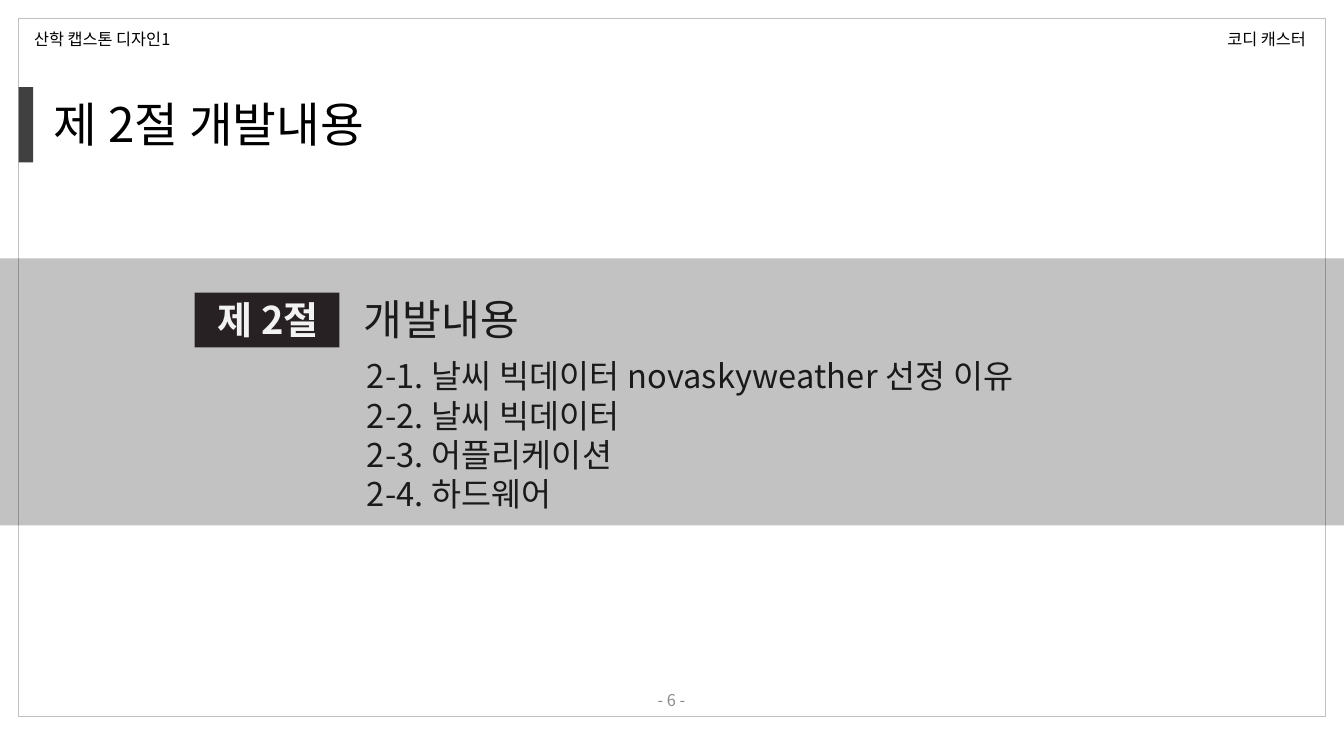
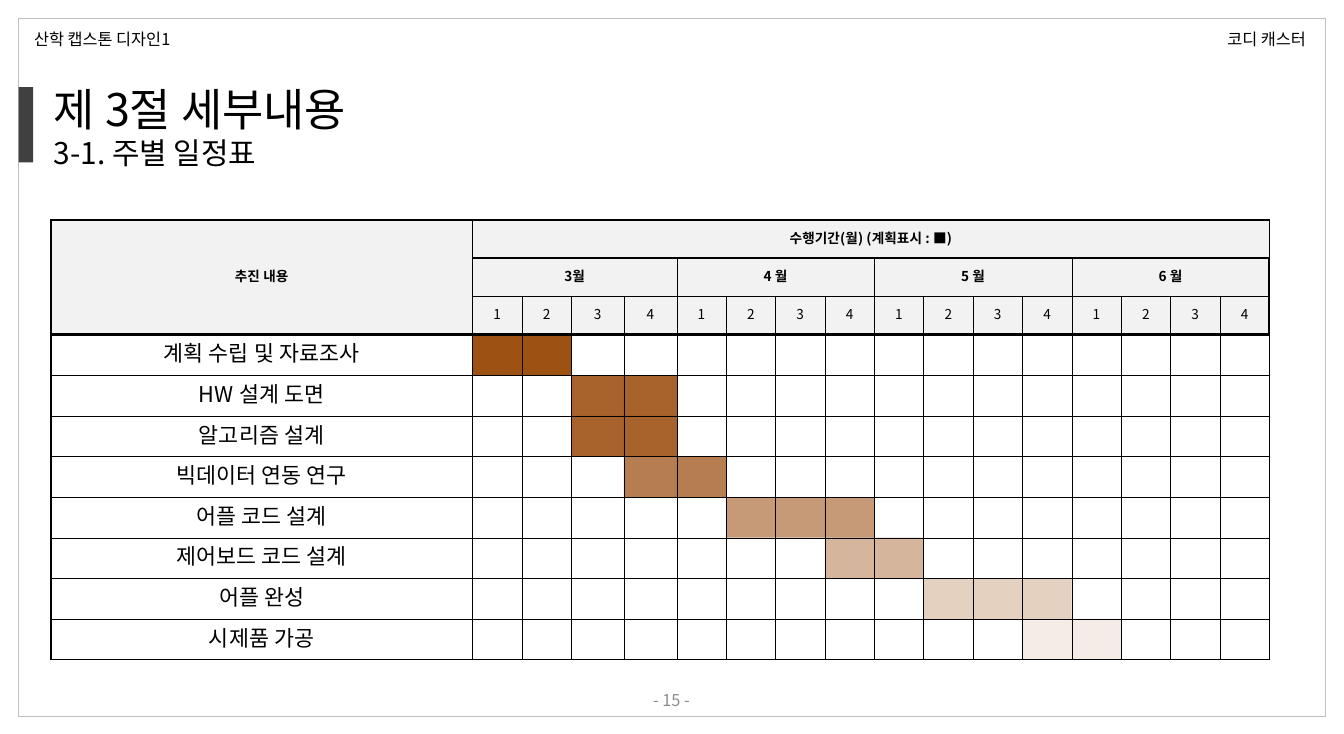
import lxml.etree
import pptx
import pptx.dml.color
import pptx.enum.shapes
import pptx.enum.text
import pptx.oxml.ns
import pptx.util

Inches = pptx.util.Inches
Pt = pptx.util.Pt
ALIGN = pptx.enum.text.PP_ALIGN
ANCHOR = pptx.enum.text.MSO_ANCHOR
qn = pptx.oxml.ns.qn

FONT = "Noto Sans CJK KR"
BLACK, GRAY_FRAME, GRAY_MARKER, GRAY_PAGE = "000000", "BFBFBF", "404040", "8C8C8C"
INK, BADGE, BADGE_TEXT, HEADER, BROWN = "1A1A1A", "272123", "F2F2F2", "F2F2F2", "984807"
COURSE, TEAM = "산학 캡스톤 디자인1", "코디 캐스터"
NO_TABLE_STYLE = "{2D5ABB26-0587-4C30-8999-92F81FD0307C}"

SECTION = {
    "page": 6,
    "title": [("제 2절 개발내용", 35)],
    "title_box": (0.45, 0.92, 7.59, 0.67),
    "badge": "제 2절",
    "heading": "개발내용",
    "topics": [
        "2-1. 날씨 빅데이터 novaskyweather 선정 이유",
        "2-2. 날씨 빅데이터",
        "2-3. 어플리케이션",
        "2-4. 하드웨어",
    ],
}
SCHEDULE = {
    "page": 15,
    "title": [("제 3절 세부내용", 33), ("3-1. 주별 일정표", 22)],
    "title_box": (0.45, 0.78, 7.59, 1.03),
    "task_header": "추진 내용",
    "period_header": "수행기간(월) (계획표시 : ■)",
    "months": ["3월", "4 월", "5 월", "6 월"],
    "tasks": [
        ("계획 수립 및 자료조사", 1, 2, 95),
        ("HW 설계 도면", 3, 4, 85),
        ("알고리즘 설계", 3, 4, 85),
        ("빅데이터 연동 연구", 4, 5, 70),
        ("어플 코드 설계", 6, 8, 55),
        ("제어보드 코드 설계", 8, 9, 40),
        ("어플 완성", 10, 12, 25),
        ("시제품 가공", 12, 13, 10),
    ],
}
WEEKS, HEADER_ROWS = 4, 3
TABLE_BOX = (0.52, 2.25, 12.46, 4.49)
TASK_WIDTH, WIDE_WEEK, HEADER_HEIGHT = 4.31, 0.54, 0.39
THIN, MEDIUM, THICK = 0.28, 1.41, 1.98


def rgb(color):
    return pptx.dml.color.RGBColor.from_string(color)


def box_lengths(box):
    return [Inches(length) for length in box]


def set_fill(fill, color, opacity=100):
    fill.solid()
    fill.fore_color.rgb = rgb(color)
    if opacity < 100:
        color_element = fill._xPr.find(".//" + qn("a:srgbClr"))
        lxml.etree.SubElement(color_element, qn("a:alpha"), val=str(opacity * 1000))


def write_text(frame, lines, size=12, color=BLACK, bold=False, align=ALIGN.LEFT,
               anchor=ANCHOR.TOP, spacing=0):
    frame.word_wrap = True
    frame.auto_size = pptx.enum.text.MSO_AUTO_SIZE.NONE
    frame.vertical_anchor = anchor
    for index, line in enumerate(lines):
        text, line_size = line if isinstance(line, tuple) else (line, size)
        paragraph = frame.add_paragraph() if index else frame.paragraphs[0]
        paragraph.alignment = align
        paragraph.line_spacing = Pt(line_size * 1.2)
        paragraph.space_before = Pt(0)
        run = paragraph.add_run()
        run.text = text
        run.font.name = FONT
        run.font.size = Pt(line_size)
        run.font.bold = bold
        run.font.color.rgb = rgb(color)
        properties = run.font._element
        if spacing:
            properties.set("spc", str(spacing))
        east_asian = lxml.etree.Element(qn("a:ea"), typeface=FONT)
        properties.find(qn("a:latin")).addnext(east_asian)


def add_text(slide, box, text, **text_format):
    shape = slide.shapes.add_textbox(*box_lengths(box))
    write_text(shape.text_frame, [text], **text_format)
    return shape


def add_rectangle(slide, box, color=None, opacity=100, line=None):
    shape = slide.shapes.add_shape(pptx.enum.shapes.MSO_SHAPE.RECTANGLE, *box_lengths(box))
    shape.shadow.inherit = False
    if color:
        set_fill(shape.fill, color, opacity)
    else:
        shape.fill.background()
    if line:
        shape.line.color.rgb = rgb(line)
        shape.line.width = Pt(1)
    else:
        shape.line.fill.background()
    return shape


def place(shape, box):
    shape.left, shape.top, shape.width, shape.height = box_lengths(box)


def add_slide(presentation, layout_index, content):
    slide = presentation.slides.add_slide(presentation.slide_layouts[layout_index])
    add_rectangle(slide, (0.19, 0.19, 13.36, 7.13), line=GRAY_FRAME)
    add_rectangle(slide, (0.19, 0.89, 0.15, 0.77), GRAY_MARKER)
    title = slide.shapes.title
    place(title, content["title_box"])
    write_text(title.text_frame, content["title"])
    add_text(slide, (0.25, 0.25, 2.2, 0.3), COURSE)
    add_text(slide, (12.45, 0.25, 1.23, 0.3), TEAM)
    add_text(slide, (4.69, 6.95, 4.35, 0.4), f"- {content['page']} -",
             color=GRAY_PAGE, align=ALIGN.CENTER, anchor=ANCHOR.MIDDLE)
    return slide


def build_section(presentation):
    slide = add_slide(presentation, 1, SECTION)
    add_rectangle(slide, (-0.28, 2.64, 14.31, 2.73), BLACK, opacity=24)
    add_text(slide, (3.62, 2.95, 4.53, 0.62), SECTION["heading"], size=31, color=INK, spacing=10)
    add_rectangle(slide, (1.99, 2.99, 1.48, 0.56), BADGE)
    badge = add_text(slide, (2.01, 2.98, 1.46, 0.57), SECTION["badge"], size=28,
                     color=BADGE_TEXT, bold=True, align=ALIGN.CENTER)
    badge.text_frame.margin_left = badge.text_frame.margin_right = 0
    topics = slide.placeholders[1]
    place(topics, (3.65, 3.59, 9.9, 1.72))
    write_text(topics.text_frame, SECTION["topics"], size=24, color=INK, spacing=10)
    for paragraph in topics.text_frame.paragraphs:
        properties = paragraph._p.get_or_add_pPr()
        properties.set("marL", "0")
        properties.set("indent", "0")
        lxml.etree.SubElement(properties, qn("a:buNone"))
    slide.shapes._spTree.append(topics._element)


def set_borders(cell, widths):
    properties = cell._tc.get_or_add_tcPr()
    for index, (side, width) in enumerate(widths.items()):
        line = lxml.etree.Element(qn("a:ln" + side), w=str(int(Pt(width))))
        solid = lxml.etree.SubElement(line, qn("a:solidFill"))
        lxml.etree.SubElement(solid, qn("a:srgbClr"), val=BLACK)
        properties.insert(index, line)


def row_edge(edge, row_count):
    if edge == HEADER_ROWS:
        return THICK
    return MEDIUM if edge < HEADER_ROWS or edge == row_count else THIN


def schedule_text():
    texts = {(0, 0): SCHEDULE["task_header"], (0, 1): SCHEDULE["period_header"]}
    for index, month in enumerate(SCHEDULE["months"]):
        first = 1 + index * WEEKS
        texts[1, first] = month
        for week in range(WEEKS):
            texts[2, first + week] = str(week + 1)
    for index, task in enumerate(SCHEDULE["tasks"]):
        texts[HEADER_ROWS + index, 0] = task[0]
    return texts


def format_cell(cell, row, column, row_count, column_count, text):
    cell.margin_left = cell.margin_right = cell.margin_top = cell.margin_bottom = Inches(0.02)
    is_header = row < HEADER_ROWS
    if text:
        write_text(cell.text_frame, [text], size=10 if is_header else 16,
                   bold=row < HEADER_ROWS - 1, align=ALIGN.CENTER, spacing=10)
        cell.vertical_anchor = ANCHOR.MIDDLE
    else:
        lxml.etree.SubElement(cell.text_frame.paragraphs[0]._p, qn("a:endParaRPr"), sz="1000")
    cell.fill.background()
    if is_header:
        set_fill(cell.fill, HEADER)
    else:
        name, first, last, opacity = SCHEDULE["tasks"][row - HEADER_ROWS]
        if first <= column <= last:
            set_fill(cell.fill, BROWN, opacity)
    if not cell.is_spanned:
        last_column = column + cell.span_width == column_count
        set_borders(cell, {
            "L": THIN if column else MEDIUM,
            "R": MEDIUM if last_column and is_header and row else THIN,
            "T": row_edge(row, row_count),
            "B": row_edge(row + cell.span_height, row_count),
        })


def build_schedule(presentation):
    slide = add_slide(presentation, 5, SCHEDULE)
    row_count = HEADER_ROWS + len(SCHEDULE["tasks"])
    column_count = 1 + WEEKS * len(SCHEDULE["months"])
    table = slide.shapes.add_table(row_count, column_count, *box_lengths(TABLE_BOX)).table
    table._tbl.tblPr.find(qn("a:tableStyleId")).text = NO_TABLE_STYLE
    table.first_row = table.horz_banding = False

    week_width = (TABLE_BOX[2] - TASK_WIDTH - 2 * WIDE_WEEK) / (column_count - 3)
    special_widths = {0: TASK_WIDTH, 3: WIDE_WEEK, 4: WIDE_WEEK}
    for index, column in enumerate(table.columns):
        column.width = Inches(special_widths.get(index, week_width))
    task_height = (TABLE_BOX[3] - HEADER_ROWS * HEADER_HEIGHT) / len(SCHEDULE["tasks"])
    for index, row in enumerate(table.rows):
        row.height = Inches(HEADER_HEIGHT if index < HEADER_ROWS else task_height)

    table.cell(0, 0).merge(table.cell(HEADER_ROWS - 1, 0))
    table.cell(0, 1).merge(table.cell(0, column_count - 1))
    for first in range(1, column_count, WEEKS):
        table.cell(1, first).merge(table.cell(1, first + WEEKS - 1))

    texts = schedule_text()
    for row in range(row_count):
        for column in range(column_count):
            format_cell(table.cell(row, column), row, column, row_count, column_count,
                        texts.get((row, column)))


def main():
    presentation = pptx.Presentation()
    presentation.slide_width = Inches(13.74)
    presentation.slide_height = Inches(7.5)
    build_section(presentation)
    build_schedule(presentation)
    presentation.save("out.pptx")


if __name__ == "__main__":
    main()
